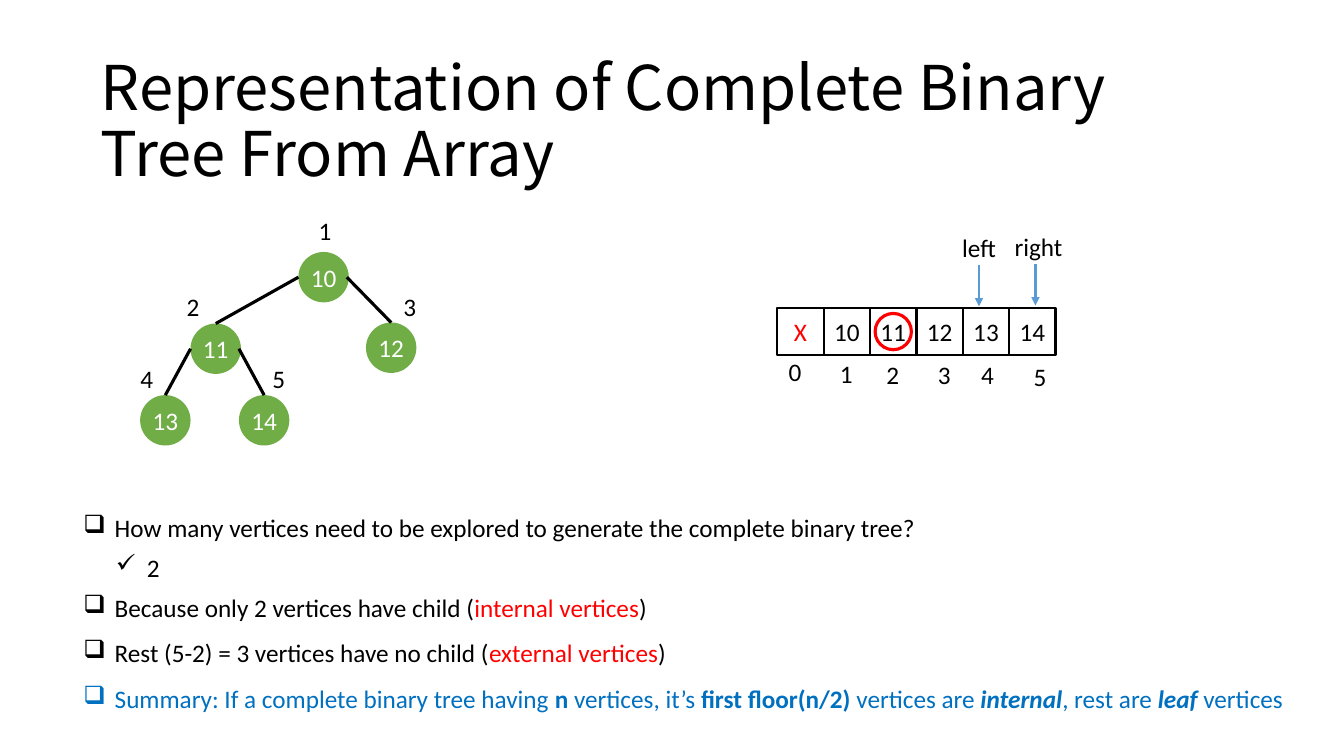
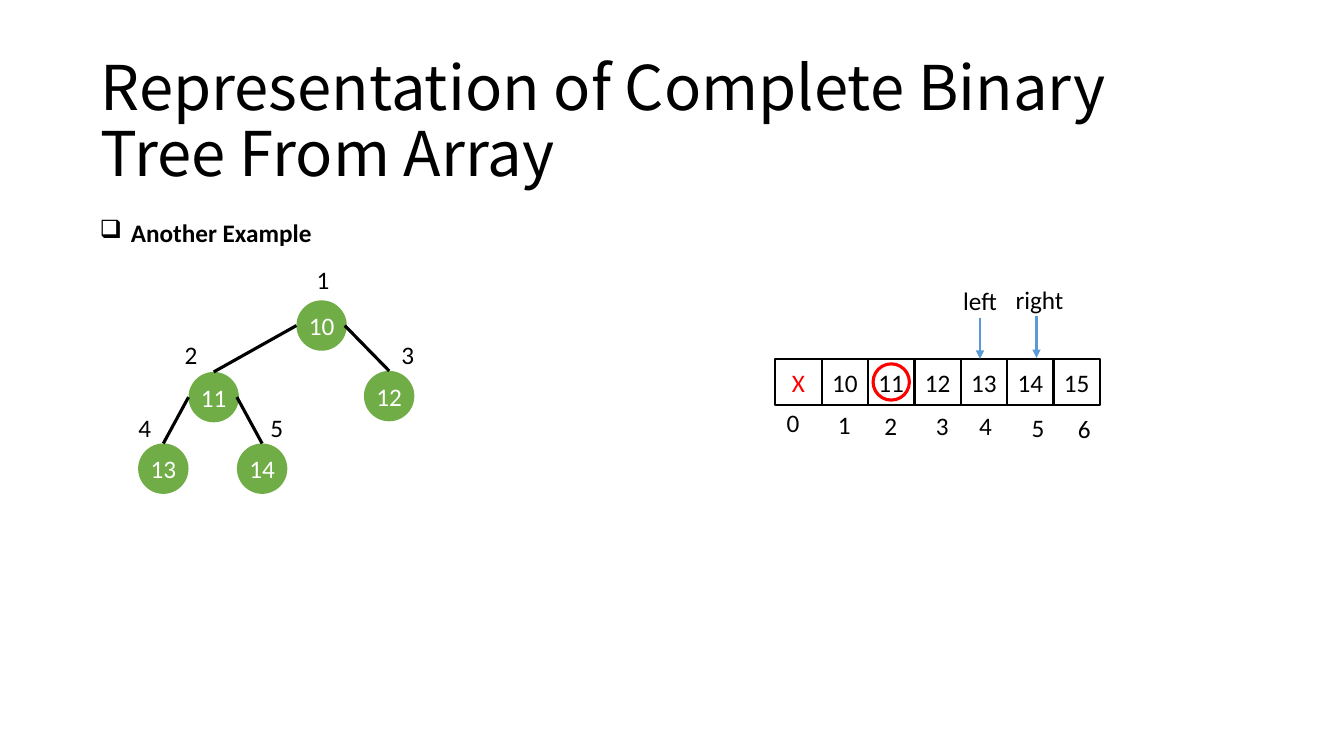
from lxml import etree
from pptx import Presentation
from pptx.dml.color import RGBColor
from pptx.enum.shapes import MSO_CONNECTOR, MSO_SHAPE
from pptx.enum.text import MSO_ANCHOR, PP_ALIGN
from pptx.oxml.ns import qn
from pptx.util import Inches, Pt

BLACK = RGBColor(0x00, 0x00, 0x00)
WHITE = RGBColor(0xFF, 0xFF, 0xFF)
GREEN = RGBColor(0x70, 0xAD, 0x47)
RED = RGBColor(0xFF, 0x00, 0x00)
BLUE = RGBColor(0x00, 0x70, 0xC0)
ARROW_BLUE = RGBColor(0x5B, 0x9B, 0xD5)
BODY_FONT, TITLE_FONT = "Calibri", "Noto Sans CJK SC"

TITLE = "Representation of Complete Binary Tree From Array"
BOX, CHECK = "❑", "✓"
BOLD, STRONG = {"bold": True}, {"bold": True, "italic": True}
RED_TEXT = {"color": RED}

# Each paragraph: bullet, left indent, space before, colour, runs of (text, format)
NOTES = [
    (BOX, 0.31, 0, BLACK, [("How many vertices need to be explored to generate "
                            "the complete binary tree?", {})]),
    (CHECK, 0.63, 7, BLACK, [("2", {})]),
    (BOX, 0.31, 7, BLACK, [("Because only 2 vertices have child (", {}),
                           ("internal vertices", RED_TEXT), (")", {})]),
    (BOX, 0.31, 11, BLACK, [("Rest (5-2) = 3 vertices have no child (", {}),
                            ("external vertices", RED_TEXT), (")", {})]),
    (BOX, 0.31, 11, BLUE, [("Summary: If a complete binary tree having ", {}),
                           ("n ", BOLD), ("vertices, it’s ", {}),
                           ("first floor(n/2) ", BOLD), ("vertices are ", {}),
                           ("internal", STRONG), (", rest are ", {}),
                           ("leaf", STRONG), (" vertices", {})]),
]
EXAMPLE = [(BOX, 0.31, 0, BLACK, [("Another Example", BOLD)])]

SLIDES = [
    {"root": (2.96, 2.5), "array": (7.71, 3.06), "pointers": (9.71, 2.63),
     "values": ["X", "10", "11", "12", "13", "14"],
     "bullets": NOTES, "bullets_at": (0.73, 5.03, 12.4, 2.11)},
    {"root": (2.94, 2.98), "array": (7.69, 3.56), "pointers": (9.72, 3.15),
     "values": ["X", "10", "11", "12", "13", "14", "15"],
     "bullets": EXAMPLE, "bullets_at": (0.89, 2.11, 2.47, 0.4)},
]

# Tree node: value, offset from the root, index label offset from the node
NODE = 0.5
NODES = [
    ("10", (0, 0), (0.1, -0.41)),
    ("11", (-1.07, 0.71), (-0.14, -0.37)),
    ("12", (0.67, 0.7), (0.27, -0.36)),
    ("13", (-1.57, 1.42), (-0.1, -0.36)),
    ("14", (-0.59, 1.42), (0.23, -0.36)),
]
CELL = 0.46
INDEX_OFFSETS = [(0.01, 0.43), (0.06, 0.45), (0.06, 0.46), (0.11, 0.46),
                 (0.08, 0.46), (0.14, 0.48), (0.14, 0.49)]
# Pointer: text, arrow start offset, label left offset, label width
POINTERS = [("left", 0, 0, -0.27, 0.54), ("right", 0.56, -0.01, -0.32, 0.7)]


def add_run(p, text, size=18, font=BODY_FONT, color=BLACK, bold=False, italic=False):
    r = p.add_run()
    r.text = text
    r.font.size, r.font.name = Pt(size), font
    r.font.bold, r.font.italic = bold, italic
    r.font.color.rgb = color


def add_box(s, x, y, w, h=0.4, wrap=False):
    tf = s.shapes.add_textbox(Inches(x), Inches(y), Inches(w), Inches(h)).text_frame
    tf.word_wrap = wrap
    return tf


def add_label(s, text, x, y, w=0.33):
    p = add_box(s, x, y, w).paragraphs[0]
    p.alignment = PP_ALIGN.CENTER
    add_run(p, text)


def add_figure(s, kind, x, y, size, fill=None, line=None, width=1.5, text="", color=BLACK):
    """Square or circle with optional fill, outline and centred text."""
    sp = s.shapes.add_shape(kind, Inches(x), Inches(y), Inches(size), Inches(size))
    sp.shadow.inherit = False
    if fill is None:
        sp.fill.background()
    else:
        sp.fill.solid()
        sp.fill.fore_color.rgb = fill
    if line is None:
        sp.line.fill.background()
    else:
        sp.line.color.rgb = line
        sp.line.width = Pt(width)
    if text:
        tf = sp.text_frame
        tf.margin_left = tf.margin_right = tf.margin_top = tf.margin_bottom = 0
        tf.word_wrap = False
        tf.vertical_anchor = MSO_ANCHOR.MIDDLE
        tf.paragraphs[0].alignment = PP_ALIGN.CENTER
        add_run(tf.paragraphs[0], text, color=color)


def add_line(s, x1, y1, x2, y2, color=BLACK, width=2.25, arrow=False):
    c = s.shapes.add_connector(MSO_CONNECTOR.STRAIGHT, Inches(x1), Inches(y1),
                               Inches(x2), Inches(y2))
    c.line.color.rgb = color
    c.line.width = Pt(width)
    if arrow:
        etree.SubElement(c.line._get_or_add_ln(), qn("a:tailEnd"), type="triangle")
    etree.SubElement(c._element.spPr, qn("a:effectLst"))


def add_title(s):
    tf = add_box(s, 0.9, 0.5, 11.5, 1.45, wrap=True)
    tf.vertical_anchor = MSO_ANCHOR.MIDDLE
    tf.paragraphs[0].line_spacing = 0.9
    add_run(tf.paragraphs[0], TITLE, size=44, font=TITLE_FONT)


def add_bullets(s, paragraphs, box):
    tf = add_box(s, *box, wrap=True)
    for i, (bullet, left, before, color, runs) in enumerate(paragraphs):
        p = tf.add_paragraph() if i else tf.paragraphs[0]
        pPr = p._p.get_or_add_pPr()
        pPr.set("marL", str(Inches(left)))
        pPr.set("indent", str(Inches(-0.31)))
        etree.SubElement(pPr, qn("a:buChar"), char=bullet)
        if before:
            p.space_before = Pt(before)
        for text, fmt in runs:
            add_run(p, text, **{"color": color, **fmt})


def add_tree(s, root_x, root_y):
    places = [(root_x + dx, root_y + dy) for _, (dx, dy), _ in NODES]
    for i, ((value, _, (lx, ly)), (x, y)) in enumerate(zip(NODES, places)):
        add_figure(s, MSO_SHAPE.OVAL, x, y, NODE, fill=GREEN, text=value, color=WHITE)
        add_label(s, str(i + 1), x + lx, y + ly)
    for i, (x, y) in enumerate(places[1:], 1):
        px, py = places[(i - 1) // 2]
        side = 0 if i % 2 else 0.48
        add_line(s, px + side, py + NODE / 2, x + NODE / 2, y)


def add_array(s, x, y, values):
    for i, (value, (dx, dy)) in enumerate(zip(values, INDEX_OFFSETS)):
        left = x + i * CELL
        add_figure(s, MSO_SHAPE.RECTANGLE, left, y, CELL, line=BLACK, text=value,
                   color=RED if value == "X" else BLACK)
        add_label(s, str(i), left + dx, y + dy)
    add_figure(s, MSO_SHAPE.OVAL, x + 2 * CELL + 0.05, y + 0.05, CELL - 0.1,
               line=RED, width=2.25)


def add_pointers(s, x, y):
    for text, dx, dy, label_dx, label_w in POINTERS:
        px, py = x + dx, y + dy
        add_line(s, px, py, px, py + 0.41, ARROW_BLUE, 1.5, arrow=True)
        add_label(s, text, px + label_dx, py - 0.37, label_w)


def main():
    prs = Presentation()
    prs.slide_width, prs.slide_height = Inches(13.33), Inches(7.5)
    for content in SLIDES:
        s = prs.slides.add_slide(prs.slide_layouts[6])
        add_title(s)
        add_tree(s, *content["root"])
        add_array(s, *content["array"], content["values"])
        add_pointers(s, *content["pointers"])
        add_bullets(s, content["bullets"], content["bullets_at"])
    prs.save("out.pptx")


if __name__ == "__main__":
    main()
